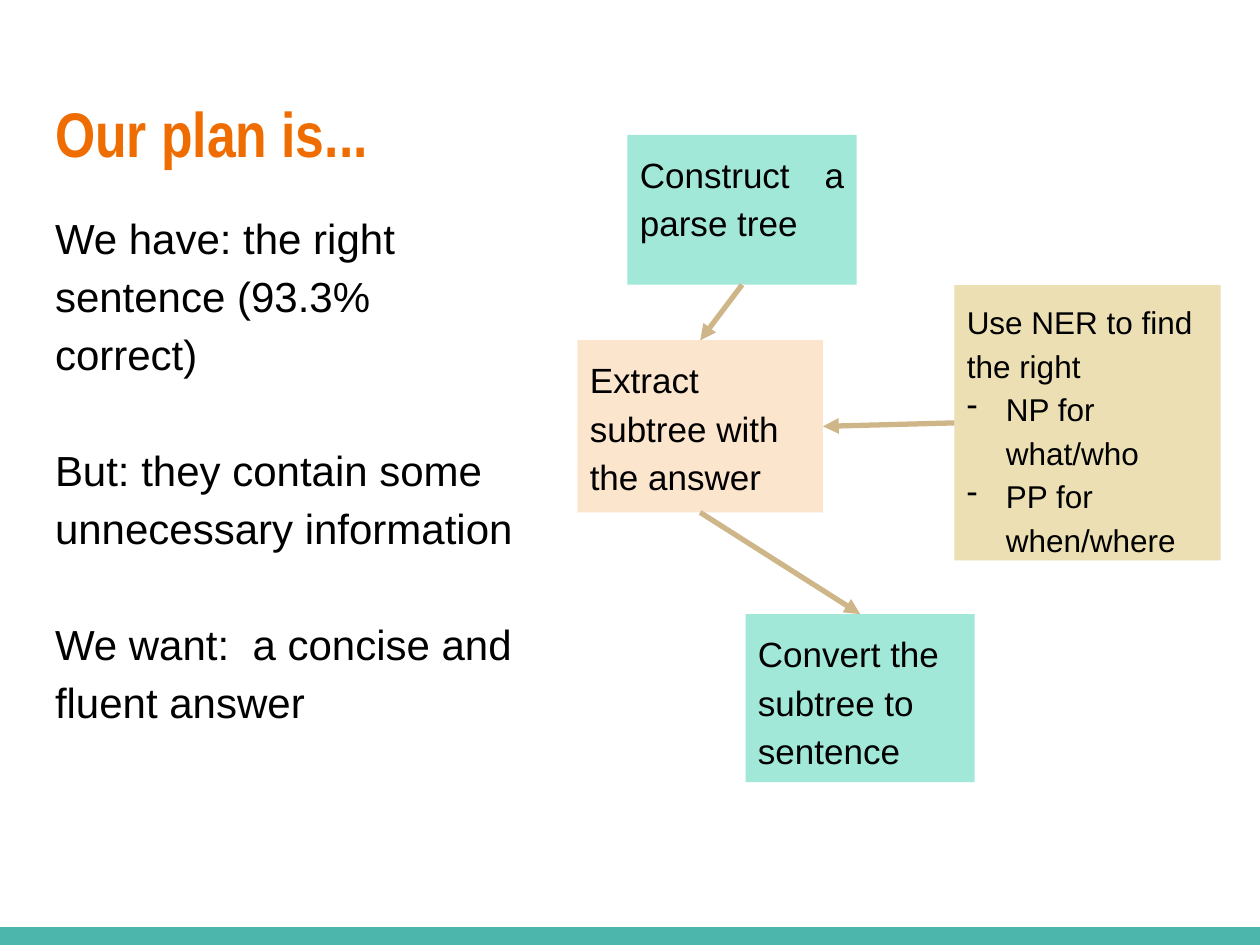
from lxml import etree
from pptx import Presentation
from pptx.dml.color import RGBColor
from pptx.enum import shapes, text
from pptx.oxml.ns import qn
from pptx.util import Cm, Pt

MINT, PEACH, SAND = "A1E8D9", "FCE5CD", "E7D7A1"
TOP, LEFT, BOTTOM, RIGHT = range(4)  # connection sites of a rectangle


def color(hex_string):
    return RGBColor.from_string(hex_string)


def place(shape, left, top, width, height):
    shape.left, shape.top = Cm(left), Cm(top)
    shape.width, shape.height = Cm(width), Cm(height)


def add_dash(paragraph, indent=0.79):
    """Give the paragraph a hanging dash as its bullet."""
    properties = paragraph._p.get_or_add_pPr()
    properties.set("marL", str(Cm(indent)))
    properties.set("indent", str(-Cm(indent)))
    etree.SubElement(properties, qn("a:buChar")).set("char", "-")


def write(shape, paragraphs, size=20, font="Arial", fill="000000", bold=False,
          align=text.PP_ALIGN.LEFT, spacing=1.15, gap=0, dashes_from=None):
    """Fill the shape with paragraphs; those from index dashes_from on are bulleted."""
    frame = shape.text_frame
    frame.word_wrap = True
    frame.auto_size = text.MSO_AUTO_SIZE.NONE
    frame.vertical_anchor = text.MSO_ANCHOR.TOP
    frame.margin_left = frame.margin_right = Cm(0.25)
    frame.margin_top = frame.margin_bottom = Cm(0.25)
    for index, line in enumerate(paragraphs):
        paragraph = frame.add_paragraph() if index else frame.paragraphs[0]
        paragraph.alignment = align
        paragraph.line_spacing = spacing
        paragraph.space_before = Pt(gap if index else 0)
        if dashes_from is not None and index >= dashes_from:
            add_dash(paragraph)
        run = paragraph.add_run()
        run.text = line
        run.font.name, run.font.size, run.font.bold = font, Pt(size), bold
        run.font.color.rgb = color(fill)


def add_box(slide, fill, left, top, width, height, opacity=100):
    box = slide.shapes.add_shape(shapes.MSO_SHAPE.RECTANGLE,
                                 Cm(left), Cm(top), Cm(width), Cm(height))
    box.shadow.inherit = False
    box.line.fill.background()
    box.fill.solid()
    box.fill.fore_color.rgb = color(fill)
    if opacity < 100:
        tone = box._element.spPr.find(qn("a:solidFill"))[0]
        etree.SubElement(tone, qn("a:alpha")).set("val", str(opacity * 1000))
    return box


def add_arrow(slide, start, start_site, end, end_site):
    arrow = slide.shapes.add_connector(shapes.MSO_CONNECTOR.STRAIGHT, 0, 0, 0, 0)
    arrow.begin_connect(start, start_site)
    arrow.end_connect(end, end_site)
    arrow.line.color.rgb = color("CEB689")
    arrow.line.width = Pt(3)
    etree.SubElement(arrow.line._get_or_add_ln(), qn("a:tailEnd")).set("type", "triangle")
    etree.SubElement(arrow._element.spPr, qn("a:effectLst"))


def add_plan_text(slide):
    title = slide.shapes.title
    place(title, 0.86, 1.65, 10.46, 2.62)
    write(title, ["Our plan is..."], size=36, font="Arial Narrow",
          fill="EF6C00", bold=True, spacing=1)
    body = slide.shapes.add_textbox(Cm(0.86), Cm(3.89), Cm(9.8), Cm(7.77))
    write(body, ["We have: the right sentence (93.3% correct)",
                 "But: they contain some unnecessary information",
                 "We want:  a concise and fluent answer"], size=24, gap=33)


def add_flow(slide):
    construct = add_box(slide, MINT, 12.65, 2.72, 4.62, 3.02)
    write(construct, ["Construct a parse tree"], align=text.PP_ALIGN.JUSTIFY)
    entities = add_box(slide, SAND, 19.24, 5.75, 5.37, 5.55, opacity=80)
    write(entities, ["Use NER to find the right", "NP for what/who",
                     "PP for when/where"], size=18, dashes_from=1)
    extract = add_box(slide, PEACH, 11.64, 6.86, 4.95, 3.47)
    write(extract, ["Extract subtree with the answer"])
    convert = add_box(slide, MINT, 15.03, 12.38, 4.62, 3.39)
    write(convert, ["Convert the subtree to sentence"])

    add_arrow(slide, construct, BOTTOM, extract, TOP)
    add_arrow(slide, entities, LEFT, extract, RIGHT)
    add_arrow(slide, extract, BOTTOM, convert, TOP)


def main():
    presentation = Presentation()
    presentation.slide_width, presentation.slide_height = Cm(25.4), Cm(19.05)
    slide = presentation.slides.add_slide(presentation.slide_layouts[5])
    add_box(slide, "4DB6AC", 0, 18.69, 25.4, 0.36)
    add_plan_text(slide)
    add_flow(slide)
    presentation.save("out.pptx")


if __name__ == "__main__":
    main()
